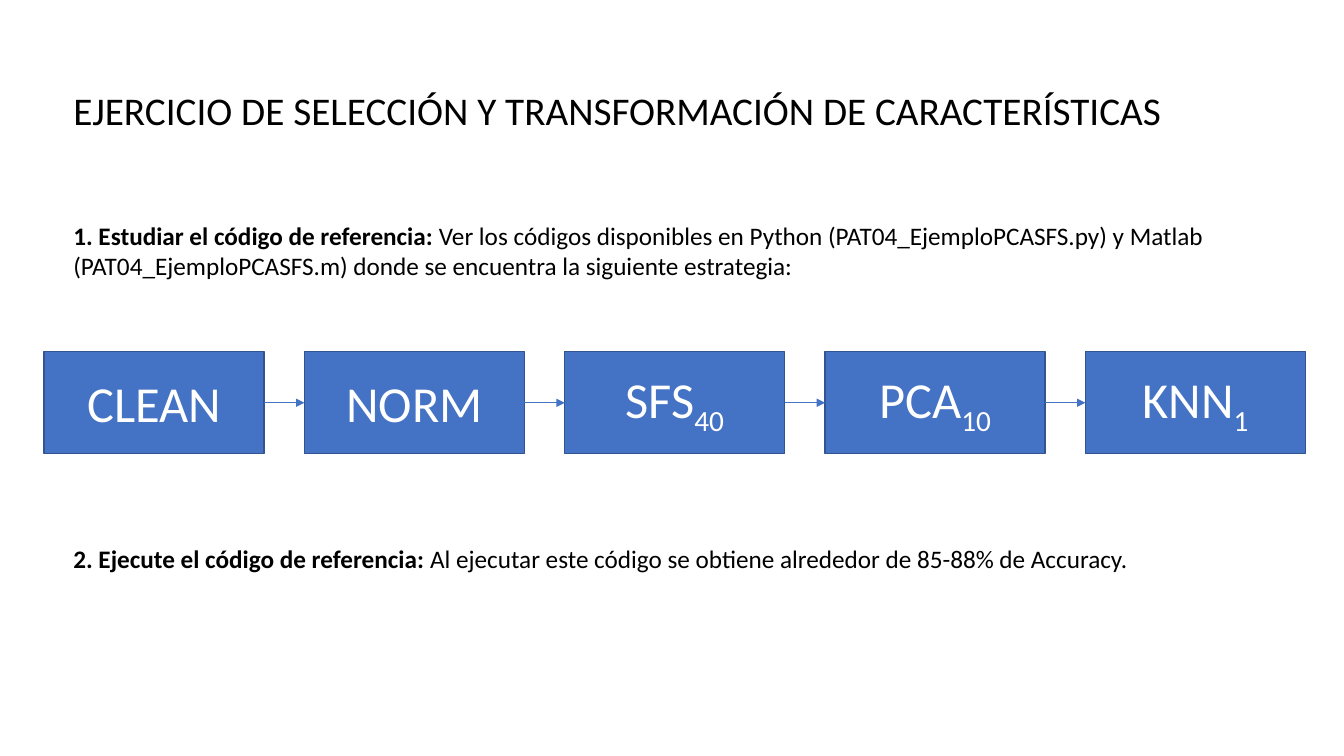
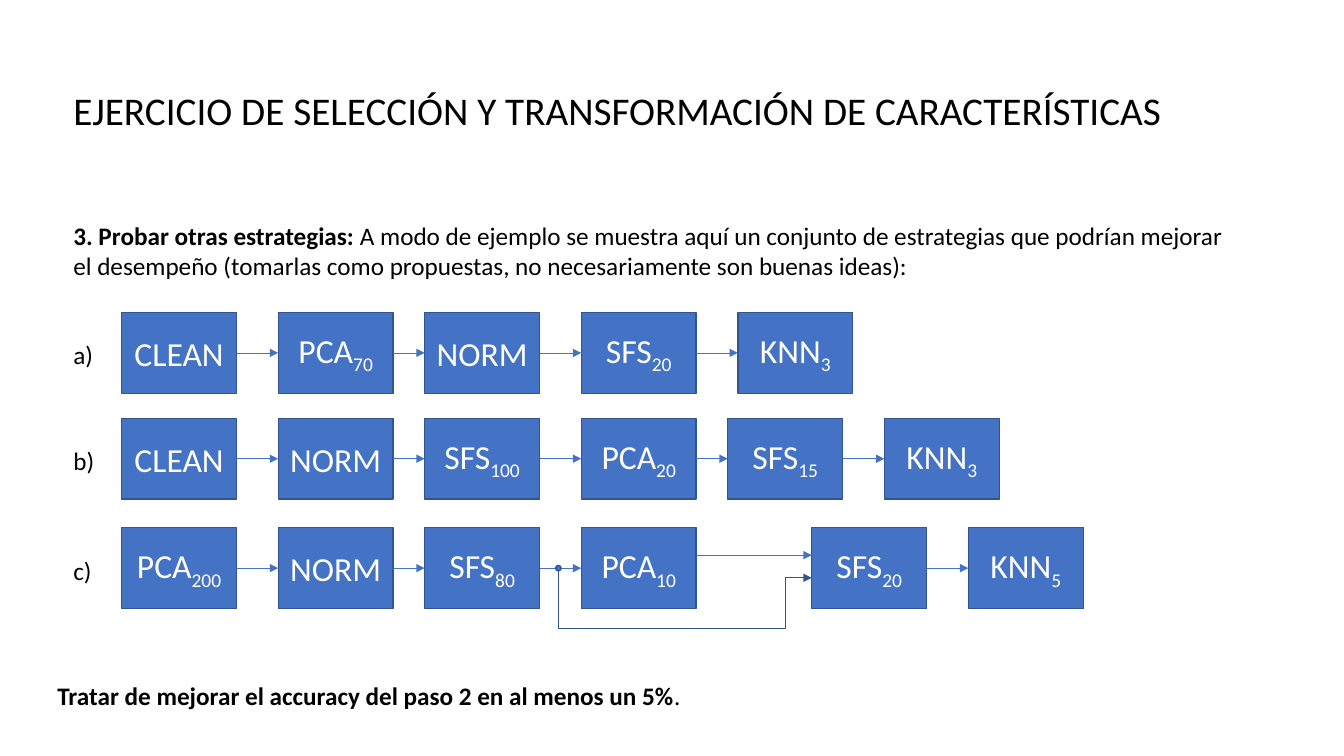
from dataclasses import dataclass
from itertools import pairwise

from lxml.etree import SubElement
from pptx import Presentation
from pptx.dml.color import RGBColor
from pptx.enum.shapes import MSO_CONNECTOR, MSO_SHAPE
from pptx.enum.text import MSO_ANCHOR, PP_ALIGN
from pptx.oxml.ns import qn
from pptx.util import Emu, Inches, Pt

# Shared look
COLORS = {"box": "4472C4", "outline": "325491", "text": "000000", "box_text": "FFFFFF"}
FONT = "Calibri"
TITLE = "EJERCICIO DE SELECCIÓN Y TRANSFORMACIÓN DE CARACTERÍSTICAS"
SLIDE_WIDTH, SLIDE_HEIGHT = Inches(13.33), Inches(7.5)

# Positions are percentages of the slide's width and height
TEXT_LEFT, TEXT_WIDTH = 4.72, 87.3
LABEL_WIDTH = 4.2
LINE_HEIGHT = 5.33
WIDE_GAP, NARROW_GAP, BRANCH_GAP = 3.1, 2.35, 8.6


@dataclass(frozen=True)
class Stage:
    name: str
    subscript: str = ""
    gap: float = WIDE_GAP  # distance from the previous box
    arrow_share: float = 0.5  # height of the incoming arrow within the box


@dataclass(frozen=True)
class Box:
    left: float
    top: float
    width: float
    height: float

    @property
    def right(self) -> float:
        return self.left + self.width

    def level(self, share: float) -> float:
        return self.top + share * self.height


@dataclass(frozen=True)
class Strategy:
    label: str
    top: float
    stages: tuple[Stage, ...]


def across(share: float) -> Emu:
    return Emu(round(SLIDE_WIDTH * share / 100))


def down(share: float) -> Emu:
    return Emu(round(SLIDE_HEIGHT * share / 100))


def color(name: str) -> RGBColor:
    return RGBColor.from_string(COLORS[name])


# Drawing functions
def add_run(paragraph, text: str, *, size: float = 18, bold: bool = False,
            color_name: str = "text", subscript: bool = False) -> None:
    run = paragraph.add_run()
    run.text = text
    run.font.name = FONT
    run.font.size = Pt(size)
    run.font.bold = bold
    run.font.color.rgb = color(color_name)
    if subscript:
        run.font._element.set("baseline", "-25000")


def add_text(slide, top: float, text: str, *, lead: str = "", left: float = TEXT_LEFT,
             width: float = TEXT_WIDTH, height: float = LINE_HEIGHT,
             size: float = 18) -> None:
    shape = slide.shapes.add_textbox(across(left), down(top), across(width), down(height))
    shape.text_frame.word_wrap = True
    paragraph = shape.text_frame.paragraphs[0]
    if lead:
        add_run(paragraph, lead, size=size, bold=True)
    add_run(paragraph, text, size=size)


def add_filled_shape(slide, kind: MSO_SHAPE, box: Box):
    shape = slide.shapes.add_shape(kind, across(box.left), down(box.top),
                                   across(box.width), down(box.height))
    shape.shadow.inherit = False
    shape.fill.solid()
    shape.fill.fore_color.rgb = color("box")
    shape.line.color.rgb = color("outline")
    shape.line.width = Pt(1)
    return shape


def style_arrow(line, color_name: str) -> None:
    line.color.rgb = color(color_name)
    line.width = Pt(0.5)
    SubElement(line._get_or_add_ln(), qn("a:tailEnd"), type="triangle")


def add_arrow(slide, start: float, end: float, level: float) -> None:
    connector = slide.shapes.add_connector(MSO_CONNECTOR.STRAIGHT, across(start),
                                           down(level), across(end), down(level))
    style_arrow(connector.line, "box")
    SubElement(connector._element.spPr, qn("a:effectLst"))


def add_stage(slide, stage: Stage, box: Box, size: float) -> None:
    shape = add_filled_shape(slide, MSO_SHAPE.RECTANGLE, box)
    shape.text_frame.word_wrap = True
    shape.text_frame.vertical_anchor = MSO_ANCHOR.MIDDLE
    paragraph = shape.text_frame.paragraphs[0]
    paragraph.alignment = PP_ALIGN.CENTER
    add_run(paragraph, stage.name, size=size, color_name="box_text")
    if stage.subscript:
        add_run(paragraph, stage.subscript, size=size, color_name="box_text", subscript=True)


def add_pipeline(slide, stages: tuple[Stage, ...], first: Box, size: float) -> list[Box]:
    boxes = [first]
    for stage in stages[1:]:
        boxes.append(Box(boxes[-1].right + stage.gap, first.top, first.width, first.height))
    for stage, box in zip(stages, boxes):
        add_stage(slide, stage, box, size)
    for stage, (source, target) in zip(stages[1:], pairwise(boxes)):
        add_arrow(slide, source.right, target.left, target.level(stage.arrow_share))
    return boxes


def add_bypass(slide, source: Box, skipped: Box, target: Box) -> None:
    """Lead a second path from the gap after source, below skipped, into target."""
    start = source.right + 0.45 * (skipped.left - source.right)
    turn, bottom = target.left - 1.95, source.level(1.25)
    entry = target.level(0.62)
    dot_width, dot_height = 0.4, 0.71
    add_filled_shape(slide, MSO_SHAPE.OVAL, Box(
        start - dot_width / 2, source.level(0.5) - dot_height / 2, dot_width, dot_height))
    points = [(start, bottom), (turn, bottom), (turn, entry), (target.left, entry)]
    builder = slide.shapes.build_freeform(across(start), down(source.level(0.53)))
    builder.add_line_segments([(across(x), down(y)) for x, y in points], close=False)
    shape = builder.convert_to_shape()
    shape.shadow.inherit = False
    shape.fill.background()
    style_arrow(shape.line, "outline")


def add_titled_slide(presentation):
    slide = presentation.slides.add_slide(presentation.slide_layouts[6])
    add_text(slide, 10.75, TITLE, height=7.6, size=28)
    return slide


# Content
REFERENCE = (
    Stage("CLEAN"),
    Stage("NORM", gap=3),
    Stage("SFS", "40", gap=3),
    Stage("PCA", "10", gap=3),
    Stage("KNN", "1", gap=3),
)
STRATEGIES = (
    Strategy("a)", 41.33, (
        Stage("CLEAN"), Stage("PCA", "70"), Stage("NORM", gap=NARROW_GAP),
        Stage("SFS", "20"), Stage("KNN", "3"))),
    Strategy("b)", 55.33, (
        Stage("CLEAN"), Stage("NORM"), Stage("SFS", "100", NARROW_GAP),
        Stage("PCA", "20"), Stage("SFS", "15", NARROW_GAP), Stage("KNN", "3"))),
    Strategy("c)", 69.8, (
        Stage("PCA", "200"), Stage("NORM"), Stage("SFS", "80", NARROW_GAP),
        Stage("PCA", "10"), Stage("SFS", "20", BRANCH_GAP, 0.34), Stage("KNN", "5"))),
)

presentation = Presentation()
presentation.slide_width, presentation.slide_height = SLIDE_WIDTH, SLIDE_HEIGHT

# Slide 1: reference strategy
slide = add_titled_slide(presentation)
add_text(slide, 28.5,
         "Ver los códigos disponibles en Python (PAT04_EjemploPCASFS.py) y Matlab "
         "(PAT04_EjemploPCASFS.m) donde se encuentra la siguiente estrategia:",
         lead="1. Estudiar el código de referencia: ", height=9.47)
add_pipeline(slide, REFERENCE, Box(3.28, 46.53, 16.37, 13.5), 36)
add_text(slide, 71.2, "Al ejecutar este código se obtiene alrededor de 85-88% de Accuracy.",
         lead="2. Ejecute el código de referencia: ")

# Slide 2: alternative strategies
slide = add_titled_slide(presentation)
add_text(slide, 28.5,
         "A modo de ejemplo se muestra aquí un conjunto de estrategias que podrían mejorar "
         "el desempeño (tomarlas como propuestas, no necesariamente son buenas ideas):",
         lead="3. Probar otras estrategias: ", height=9.47)
for strategy in STRATEGIES:
    add_text(slide, strategy.top + 2.95, strategy.label, width=LABEL_WIDTH)
    boxes = add_pipeline(slide, strategy.stages, Box(9.05, strategy.top, 8.55, 10.7), 24)
add_bypass(slide, *boxes[2:5])
add_text(slide, 89.33, ".", left=3.53,
         lead="Tratar de mejorar el accuracy del paso 2 en al menos un 5%")

presentation.save("out.pptx")
